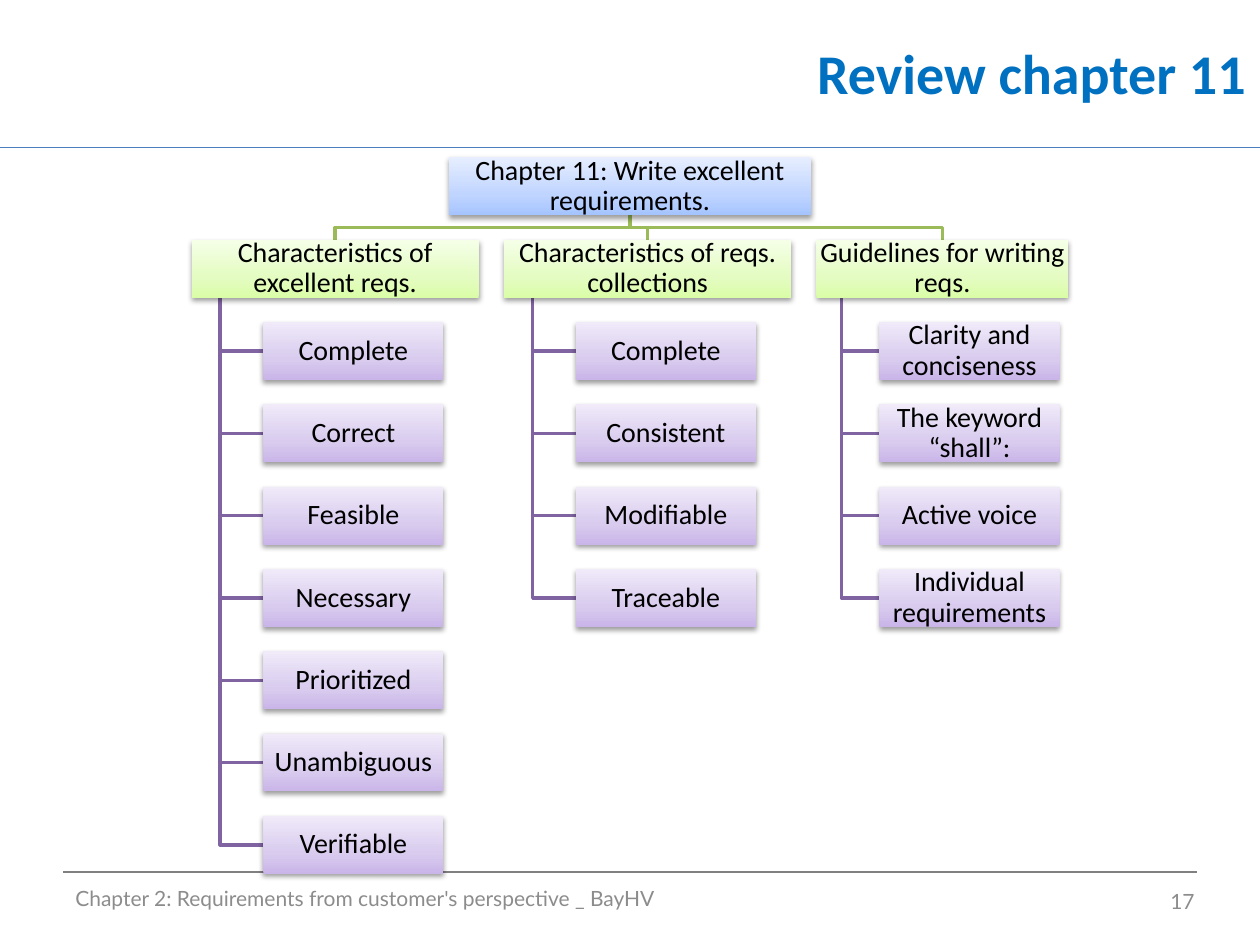
import pptx
import pptx.oxml
import pptx.oxml.ns
from pptx.dml.color import RGBColor
from pptx.enum.shapes import MSO_CONNECTOR, MSO_SHAPE
from pptx.enum.text import MSO_ANCHOR, PP_ALIGN
from pptx.util import Inches, Pt

COLORS = {
    "title": "0070C0",
    "title_rule": "4B7EBC",
    "footer_rule": "808080",
    "footer": "8C8C8C",
    "text": "000000",
    "topic_line": "9BBB59",
    "item_line": "8064A2",
}
GRADIENTS = {
    "root": ("A4C4FF", "BFD4FF", "E6EEFF"),
    "topic": ("DAFDA7", "E4FCC2", "F5FFE7"),
    "item": ("C9B5E8", "D8CBEE", "F0EAF9"),
}
TOPICS = [
    ("Characteristics of excellent reqs.", Inches(2.28),
     ["Complete", "Correct", "Feasible", "Necessary", "Prioritized",
      "Unambiguous", "Verifiable"]),
    ("Characteristics of reqs. collections", Inches(2.28),
     ["Complete", "Consistent", "Modifiable", "Traceable"]),
    ("Guidelines for writing reqs.", Inches(2),
     ["Clarity and conciseness", "The keyword “shall”:", "Active voice",
      "Individual requirements"]),
]
BOX_HEIGHT = Inches(0.46)
ROW_PITCH = int(BOX_HEIGHT * 1.42)
ROOT_WIDTH = Inches(2.88)
ITEM_WIDTH = Inches(1.43)
TOPIC_GAP = Inches(0.2)


def add_text(frame, text, size, color, alignment, font_name="Calibri", bold=False):
    frame.word_wrap = True
    frame.vertical_anchor = MSO_ANCHOR.MIDDLE
    paragraph = frame.paragraphs[0]
    paragraph.alignment = alignment
    run = paragraph.add_run()
    run.text = text
    run.font.name = font_name
    run.font.size = Pt(size)
    run.font.bold = bold
    run.font.color.rgb = RGBColor.from_string(COLORS[color])
    return paragraph


def add_rule(slide, left, top, width, color):
    rule = slide.shapes.add_connector(
        MSO_CONNECTOR.STRAIGHT, left, top, left + width, top)
    rule.line.color.rgb = RGBColor.from_string(COLORS[color])
    rule.line.width = Pt(0.75)
    pptx.oxml.ns.qn("a:effectLst")
    rule._element.spPr.append(
        pptx.oxml.parse_xml(f'<a:effectLst {pptx.oxml.ns.nsdecls("a")}/>'))


def add_elbow(slide, points, color):
    """Draw an open angular line through the points."""
    builder = slide.shapes.build_freeform(*points[0])
    builder.add_line_segments(points[1:], close=False)
    elbow = builder.convert_to_shape()
    elbow.shadow.inherit = False
    elbow.fill.background()
    elbow.line.color.rgb = RGBColor.from_string(COLORS[color])
    elbow.line.width = Pt(2)


def set_gradient(shape, colors):
    """Fill with three colours running from the bottom edge to the top."""
    shape.fill.gradient()
    shape.fill.gradient_angle = 90
    stops = shape._element.spPr.find(".//" + pptx.oxml.ns.qn("a:gsLst"))
    for stop in list(stops):
        stops.remove(stop)
    for position, color in zip((0, 35, 100), colors):
        stops.append(pptx.oxml.parse_xml(
            f'<a:gs {pptx.oxml.ns.nsdecls("a")} pos="{position * 1000}">'
            f'<a:srgbClr val="{color}"/></a:gs>'))


def set_shadow(shape):
    """Add a soft shadow just below the shape."""
    shape.shadow.inherit = False
    effects = shape._element.spPr.find(pptx.oxml.ns.qn("a:effectLst"))
    effects.append(pptx.oxml.parse_xml(
        f'<a:outerShdw {pptx.oxml.ns.nsdecls("a")} blurRad="{Pt(3.1)}" '
        f'dist="{Pt(1.6)}" dir="5400000" rotWithShape="0">'
        '<a:srgbClr val="000000"><a:alpha val="38000"/></a:srgbClr>'
        '</a:outerShdw>'))


def add_box(slide, left, top, width, text, level):
    box = slide.shapes.add_shape(
        MSO_SHAPE.RECTANGLE, left, top, width, BOX_HEIGHT)
    set_gradient(box, GRADIENTS[level])
    box.line.fill.background()
    set_shadow(box)
    frame = box.text_frame
    frame.margin_left = frame.margin_right = Inches(0.01)
    frame.margin_top = frame.margin_bottom = Inches(0.01)
    paragraph = add_text(frame, text, 16, "text", PP_ALIGN.CENTER)
    paragraph.line_spacing = 0.9


def add_topic(slide, left, top, width, topic, items):
    """Place a topic box with its items hanging from a trunk below it."""
    trunk = left + width // 10
    item_left = left + width // 4
    item_tops = [top + ROW_PITCH * row for row in range(1, len(items) + 1)]
    for item_top in item_tops:
        middle = item_top + BOX_HEIGHT // 2
        add_elbow(slide, [(trunk, top + BOX_HEIGHT), (trunk, middle),
                          (item_left, middle)], "item_line")
    add_box(slide, left, top, width, topic, "topic")
    for item, item_top in zip(items, item_tops):
        add_box(slide, item_left, item_top, ITEM_WIDTH, item, "item")


def add_hierarchy(slide, left, top, width):
    center = left + width // 2
    root_bottom = top + BOX_HEIGHT
    topic_top = top + ROW_PITCH
    bend = (root_bottom + topic_top) // 2
    topic_left = left
    for topic, topic_width, items in TOPICS:
        topic_center = topic_left + topic_width // 2
        add_elbow(slide, [(center, root_bottom), (center, bend),
                          (topic_center, bend), (topic_center, topic_top)],
                  "topic_line")
        add_topic(slide, topic_left, topic_top, topic_width, topic, items)
        topic_left += topic_width + TOPIC_GAP
    add_box(slide, center - ROOT_WIDTH // 2, top, ROOT_WIDTH,
            "Chapter 11: Write excellent requirements.", "root")


def add_header(slide, left, top, width, height):
    add_rule(slide, 0, Inches(1.17), Inches(10), "title_rule")
    title = slide.shapes.title
    title.left, title.top, title.width, title.height = left, top, width, height
    add_text(title.text_frame, "Review chapter 11", 32, "title",
             PP_ALIGN.RIGHT, bold=True)


def add_footer(slide, left, top, width):
    add_rule(slide, left, top, width, "footer_rule")
    height = Inches(0.4)
    caption = slide.shapes.add_textbox(
        left, top + Inches(0.01), Inches(6.67), height)
    add_text(caption.text_frame,
             "Chapter 2: Requirements from customer's perspective _ BayHV",
             12, "footer", PP_ALIGN.LEFT, "Lato")
    number = slide.shapes.add_textbox(
        left + Inches(6.75), top + Inches(0.03), Inches(2.33), height)
    add_text(number.text_frame, "17", 12, "footer", PP_ALIGN.RIGHT, "Lato")


def main():
    presentation = pptx.Presentation()
    presentation.slide_width = Inches(10)
    presentation.slide_height = Inches(7.5)
    slide = presentation.slides.add_slide(presentation.slide_layouts[5])
    add_header(slide, Inches(2.9), 0, Inches(7.09), Inches(1.15))
    add_footer(slide, Inches(0.5), Inches(6.92), Inches(9))
    add_hierarchy(slide, Inches(1.52), Inches(1.25), Inches(6.96))
    presentation.save("out.pptx")


if __name__ == "__main__":
    main()
